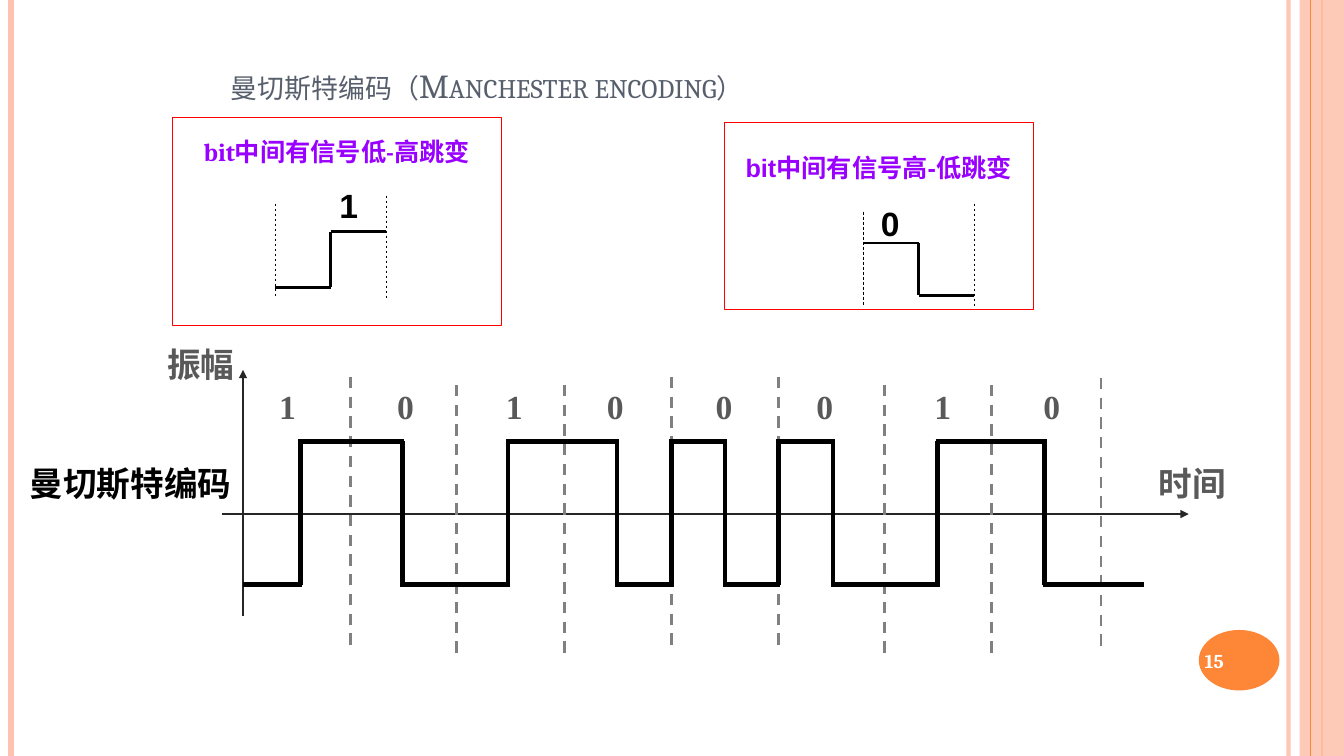
from itertools import pairwise

from lxml.etree import SubElement
from pptx import Presentation
from pptx.dml.color import RGBColor
from pptx.enum.dml import MSO_LINE
from pptx.enum.shapes import MSO_CONNECTOR, MSO_SHAPE
from pptx.enum.text import MSO_ANCHOR, MSO_AUTO_SIZE, PP_ALIGN
from pptx.oxml.ns import qn
from pptx.util import Inches, Pt

HUES = {
    "peach": "FEC3AE", "orange": "FE8637", "white": "FFFFFF", "slate": "575F6D",
    "violet": "9900FF", "red": "FF0000", "black": "000000", "axis": "262626",
    "grey": "595959", "guide": "808080",
}
LOW, HIGH = 5.8, 4.38
EDGES = [2.41, 2.98, 3.99, 5.04, 6.12, 6.66, 7.19, 7.72, 8.26, 9.3, 10.36, 11.33]
GUIDES = [(3.48, 3.74), (4.53, 3.82), (5.6, 3.82), (6.66, 3.74),
          (7.72, 3.74), (8.77, 3.82), (9.83, 3.82), (10.92, 3.75)]
TABS = [1.17, 2.25, 3.25, 4.33, 5.33, 6.5, 7.58]


def rgb(hue):
    return RGBColor.from_string(HUES[hue])


def fade(color, part):
    """Set the opacity, in percent, of the colour inside an XML part."""
    SubElement(next(part.iter(qn("a:srgbClr"))), qn("a:alpha"), val=str(color * 1000))


def line(shapes, start, end, hue, width, dash=False, arrow=False, alpha=None):
    wire = shapes.add_connector(MSO_CONNECTOR.STRAIGHT,
                                *(Inches(n) for n in (*start, *end)))
    wire.line.color.rgb = rgb(hue)
    wire.line.width = Pt(width)
    if dash:
        wire.line.dash_style = MSO_LINE.DASH
    props = wire._element.spPr
    if alpha:
        fade(alpha, props)
    if arrow:
        SubElement(props.find(qn("a:ln")), qn("a:tailEnd"), type="triangle")
    SubElement(props, qn("a:effectLst"))


def shape(shapes, kind, box, fill=None, edge=None, alpha=None):
    item = shapes.add_shape(kind, *(Inches(n) for n in box))
    item.shadow.inherit = False
    if fill:
        item.fill.solid()
        item.fill.fore_color.rgb = rgb(fill)
    else:
        item.fill.background()
    if edge:
        item.line.color.rgb = rgb(edge)
        item.line.width = Pt(0.5)
    else:
        item.line.fill.background()
    if alpha:
        fade(alpha, item._element.spPr)


def style(item, text, face, size, hue, bold=True, frame=None, para=None):
    """Fill a text shape and format its frame, paragraph and run."""
    body = item.text_frame
    first = body.paragraphs[0]
    run = first.add_run()
    run.text = text
    base = {"word_wrap": True, "auto_size": MSO_AUTO_SIZE.NONE}
    looks = [(body, base | (frame or {})),
             (first, {"line_spacing": 1.2} | (para or {})),
             (run.font, {"name": face, "size": Pt(size), "bold": bold})]
    for target, values in looks:
        for name, value in values.items():
            setattr(target, name, value)
    run.font.color.rgb = rgb(hue)
    return run


def label(shapes, box, *args, **kinds):
    item = shapes.add_textbox(*(Inches(n) for n in box))
    style(item, *args, **kinds)
    return item


def card(shapes, box, note, face, gap, digit, spot, left, top, levels):
    """Draw one framed rule: its note, its bit and its step between two levels."""
    x, y, wide, _ = box
    mid, right = left + 0.55, left + 1.1
    before, after = levels
    label(shapes, (x, y + gap, wide, 0.9), note, face, 18, "violet",
          para={"alignment": PP_ALIGN.CENTER, "space_before": Pt(5)})
    shape(shapes, MSO_SHAPE.RECTANGLE, box, edge="red")
    line(shapes, (left, top), (left, top + 0.93), "black", 0.5, dash=True)
    line(shapes, (right, top - 0.08), (right, top + 0.94), "black", 0.5, dash=True)
    line(shapes, (left, before), (mid, before), "black", 2)
    line(shapes, (mid, before), (mid, after), "black", 2)
    line(shapes, (mid, after), (right, after), "black", 2)
    label(shapes, (*spot, 0.4, 0.47), digit, "Arial", 24, "black",
          frame={"word_wrap": False, "vertical_anchor": MSO_ANCHOR.MIDDLE},
          para={"alignment": PP_ALIGN.CENTER})


def border(shapes):
    for x, hue, width, alpha in [(12.78, "peach", 3, 93), (0.11, "peach", 4.5, None),
                                 (13.11, "orange", 1.5, None)]:
        line(shapes, (x, 0), (x, 7.5), hue, width, alpha=alpha)
    shape(shapes, MSO_SHAPE.RECTANGLE, (12.89, 0, 0.44, 7.5), "peach", alpha=87)
    line(shapes, (13, 0), (13, 7.5), "orange", 0.75)
    shape(shapes, MSO_SHAPE.OVAL, (11.89, 6.25, 0.8, 0.6), "orange")
    label(shapes, (11.85, 6.27, 0.89, 0.57), "15", "Cambria", 14, "white",
          frame={"vertical_anchor": MSO_ANCHOR.MIDDLE}, para={"line_spacing": 1.0})


def heading(title):
    for name, value in zip(("left", "top", "width", "height"), (2.19, 0.39, 6.38, 0.7)):
        setattr(title, name, Inches(value))
    run = style(title, "曼切斯特编码（Manchester encoding）", "Cambria", 24, "slate",
                bold=False, frame={"vertical_anchor": MSO_ANCHOR.BOTTOM},
                para={"alignment": PP_ALIGN.LEFT})
    run.font._element.set("cap", "small")


def bits(shapes):
    row = label(shapes, (2.67, 3.7, 8.14, 0.54), "\t".join("10100010"),
                "Times New Roman", 24, "grey")
    stops = SubElement(row.text_frame.paragraphs[0]._p.get_or_add_pPr(), qn("a:tabLst"))
    for stop in TABS:
        SubElement(stops, qn("a:tab"), pos=str(Inches(stop)), algn="l")


def wave(shapes):
    """Draw the signal, which starts low and flips at every edge."""
    for i, (start, end) in enumerate(pairwise(EDGES)):
        level = HIGH if i % 2 else LOW
        line(shapes, (start - 0.02 * (i > 0), level), (end + 0.02, level), "black", 3.25)
    for x in EDGES[1:-1]:
        line(shapes, (x, HIGH), (x, LOW), "black", 3.25)


def chart(shapes):
    line(shapes, (2.2, 5.1), (11.79, 5.1), "axis", 1.75, arrow=True)
    line(shapes, (2.41, 6.11), (2.41, 3.67), "axis", 1.5, arrow=True)
    for box, text, hue in [((1.55, 3.28, 0.88, 0.54), "振幅", "grey"),
                           ((0.18, 4.46, 2.23, 0.54), "曼切斯特编码", "black"),
                           ((11.31, 4.46, 0.96, 0.54), " 时间", "grey")]:
        label(shapes, box, text, "Times New Roman", 24, hue,
              frame={"word_wrap": False, "auto_size": MSO_AUTO_SIZE.SHAPE_TO_FIT_TEXT},
              para={"alignment": PP_ALIGN.CENTER})
    for x, top in GUIDES:
        line(shapes, (x, top), (x, top + 2.68), "guide", 2, dash=True)
    bits(shapes)
    wave(shapes)


def main():
    deck = Presentation()
    deck.slide_width, deck.slide_height = Inches(13.33), Inches(7.5)
    shapes = deck.slides.add_slide(deck.slide_layouts[5]).shapes
    border(shapes)
    heading(shapes.title)
    card(shapes, (1.71, 1.16, 3.26, 2.07), "bit中间有信号低-高跳变", "Cambria", 0.08,
         "1", (3.26, 1.76), 2.73, 2.02, (2.85, 2.3))
    card(shapes.add_group_shape().shapes, (7.18, 1.21, 3.07, 1.86),
         "bit中间有信号高-低跳变", "Arial", 0.19,
         "0", (8.63, 1.94), 8.56, 2.1, (2.41, 2.93))
    chart(shapes)
    deck.save("out.pptx")


if __name__ == "__main__":
    main()
